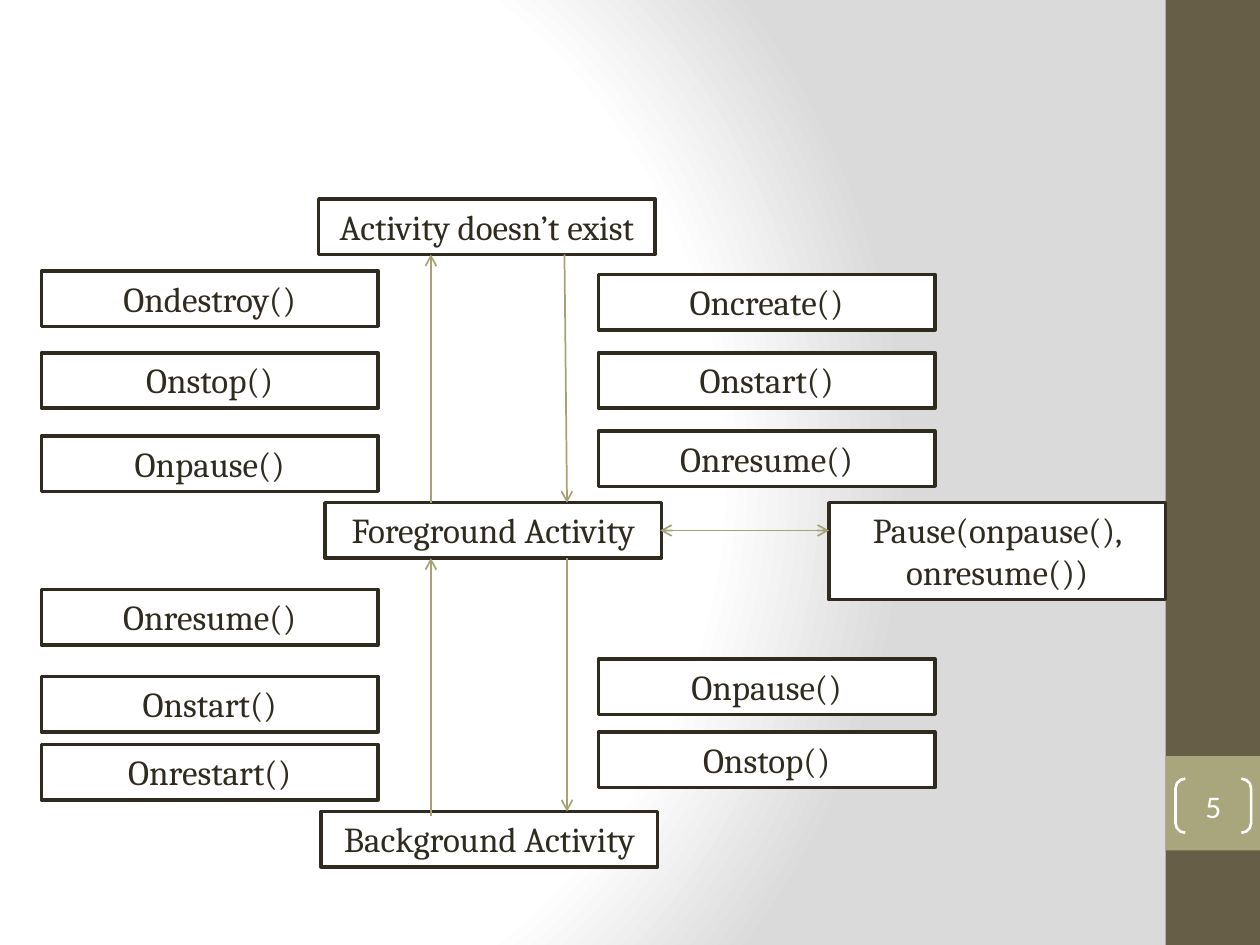
from lxml.etree import SubElement
from pptx import Presentation
from pptx.dml.color import RGBColor
from pptx.enum.shapes import MSO_CONNECTOR, MSO_SHAPE
from pptx.enum.text import MSO_ANCHOR, MSO_AUTO_SIZE, PP_ALIGN
from pptx.oxml import parse_xml
from pptx.oxml.ns import nsdecls, qn
from pptx.util import Inches, Pt

COLORS = {
    "white": "FFFFFF",
    "gray": "DADADA",
    "band": "675E47",
    "accent": "A9A57C",
    "arrow": "A6A278",
    "ink": "2F2B20",
}
BOX_WIDTH, BOX_HEIGHT = 2.67, 0.44
LEFT_COLUMN, RIGHT_COLUMN = 0.33, 4.75
UP_LANE, DOWN_LANE = 3.42, 4.5

STATES = [
    ("Activity doesn’t exist", 2.53, 1.58),
    ("Foreground Activity", 2.58, 3.99),
    ("Background Activity", 2.55, 6.44),
]
CALLBACKS = {
    LEFT_COLUMN: [
        ("Ondestroy()", 2.15), ("Onstop()", 2.8), ("Onpause()", 3.46),
        ("Onresume()", 4.68), ("Onstart()", 5.37), ("Onrestart()", 5.91),
    ],
    RIGHT_COLUMN: [
        ("Oncreate()", 2.18), ("Onstart()", 2.8), ("Onresume()", 3.42),
        ("Onpause()", 5.23), ("Onstop()", 5.81),
    ],
}


def color(name):
    return RGBColor.from_string(COLORS[name])


def set_background(page):
    """Radial gradient from white to gray."""
    page.background.fill.solid()
    solid = page._element.find(".//" + qn("a:solidFill"))
    stops = "".join(
        f'<a:gs pos="{position * 1000}"><a:srgbClr val="{COLORS[name]}"/></a:gs>'
        for position, name in [(0, "white"), (75, "white"), (100, "gray")]
    )
    gradient = parse_xml(
        f'<a:gradFill {nsdecls("a")} rotWithShape="1"><a:gsLst>{stops}</a:gsLst>'
        '<a:path path="circle"><a:fillToRect l="20000" t="50000" r="100000" b="50000"/>'
        "</a:path></a:gradFill>"
    )
    solid.getparent().replace(solid, gradient)


def add_shape(page, kind, left, top, width, height, fill=None, line=None, line_width=2):
    shape = page.shapes.add_shape(
        kind, Inches(left), Inches(top), Inches(width), Inches(height))
    shape.shadow.inherit = False
    if fill:
        shape.fill.solid()
        shape.fill.fore_color.rgb = color(fill)
    else:
        shape.fill.background()
    if line:
        shape.line.color.rgb = color(line)
        shape.line.width = Pt(line_width)
    else:
        shape.line.fill.background()
    return shape


def set_text(shape, text, font, size, ink):
    shape.text_frame.word_wrap = True
    para = shape.text_frame.paragraphs[0]
    para.text = text
    para.alignment = PP_ALIGN.CENTER
    para.font.name = font
    para.font.size = Pt(size)
    para.font.color.rgb = color(ink)


def add_box(page, text, left, top, height=BOX_HEIGHT):
    box = add_shape(page, MSO_SHAPE.RECTANGLE, left, top, BOX_WIDTH, height, "white", "ink")
    set_text(box, text, "Cambria", 20, "ink")
    box.text_frame.vertical_anchor = MSO_ANCHOR.TOP
    box.text_frame.auto_size = MSO_AUTO_SIZE.SHAPE_TO_FIT_TEXT


def add_arrow(page, start, end, both_ways=False):
    arrow = page.shapes.add_connector(
        MSO_CONNECTOR.STRAIGHT, *(Inches(value) for value in start + end))
    arrow.line.color.rgb = color("arrow")
    arrow.line.width = Pt(1)
    line = arrow.line._get_or_add_ln()
    for tag in ["a:headEnd", "a:tailEnd"] if both_ways else ["a:tailEnd"]:
        SubElement(line, qn(tag), type="arrow")
    SubElement(arrow._element.spPr, qn("a:effectLst"))


def add_page_number(page, number):
    bracket = add_shape(page, MSO_SHAPE.DOUBLE_BRACKET, 9.33, 6.18, 0.6, 0.43,
                        line="white", line_width=1.5)
    bracket.adjustments[0] = 0.18
    set_text(bracket, number, "Calibri", 18, "white")
    frame = bracket.text_frame
    frame.vertical_anchor = MSO_ANCHOR.MIDDLE
    frame.margin_left = frame.margin_right = frame.margin_top = frame.margin_bottom = 0


def main():
    deck = Presentation()
    deck.slide_width, deck.slide_height = Inches(10), Inches(7.5)
    page = deck.slides.add_slide(deck.slide_layouts[6])

    # Background and side band
    set_background(page)
    add_shape(page, MSO_SHAPE.RECTANGLE, 9.25, 0, 0.75, 7.5, "band")
    add_shape(page, MSO_SHAPE.RECTANGLE, 9.25, 6, 0.75, 0.75, "accent")

    # Activity states and the callbacks between them
    for text, left, top in STATES:
        add_box(page, text, left, top)
    for left, callbacks in CALLBACKS.items():
        for text, top in callbacks:
            add_box(page, text, left, top)
    add_box(page, "Pause(onpause(), onresume())", 6.58, 3.99, 0.77)

    # Transitions
    add_arrow(page, (4.48, 2.02), (DOWN_LANE, 3.99))
    add_arrow(page, (DOWN_LANE, 4.43), (DOWN_LANE, 6.44))
    add_arrow(page, (UP_LANE, 3.99), (UP_LANE, 2.02))
    add_arrow(page, (UP_LANE, 6.48), (UP_LANE, 4.43))
    add_arrow(page, (5.24, 4.21), (6.58, 4.21), both_ways=True)

    add_page_number(page, "5")
    deck.save("out.pptx")


if __name__ == "__main__":
    main()
